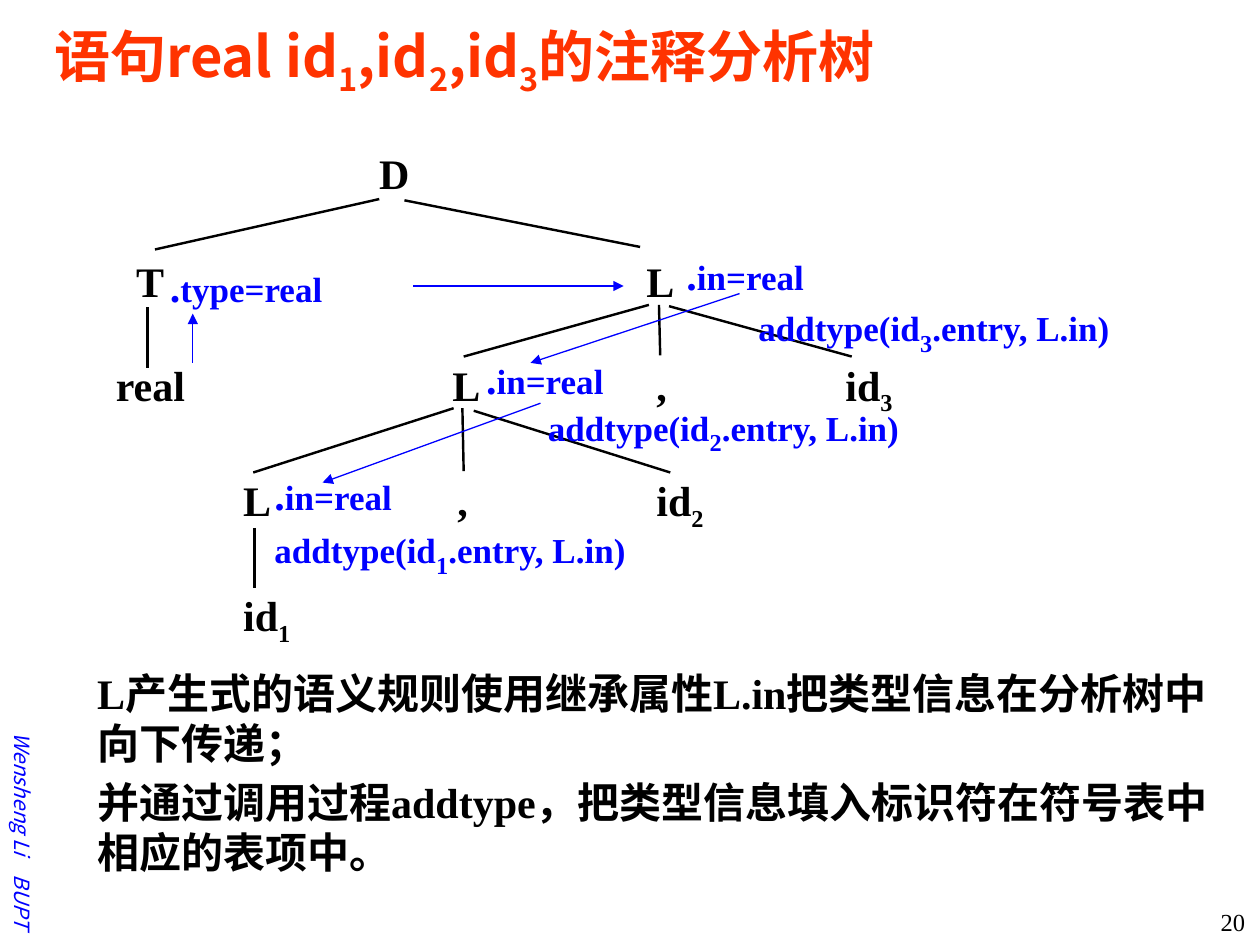
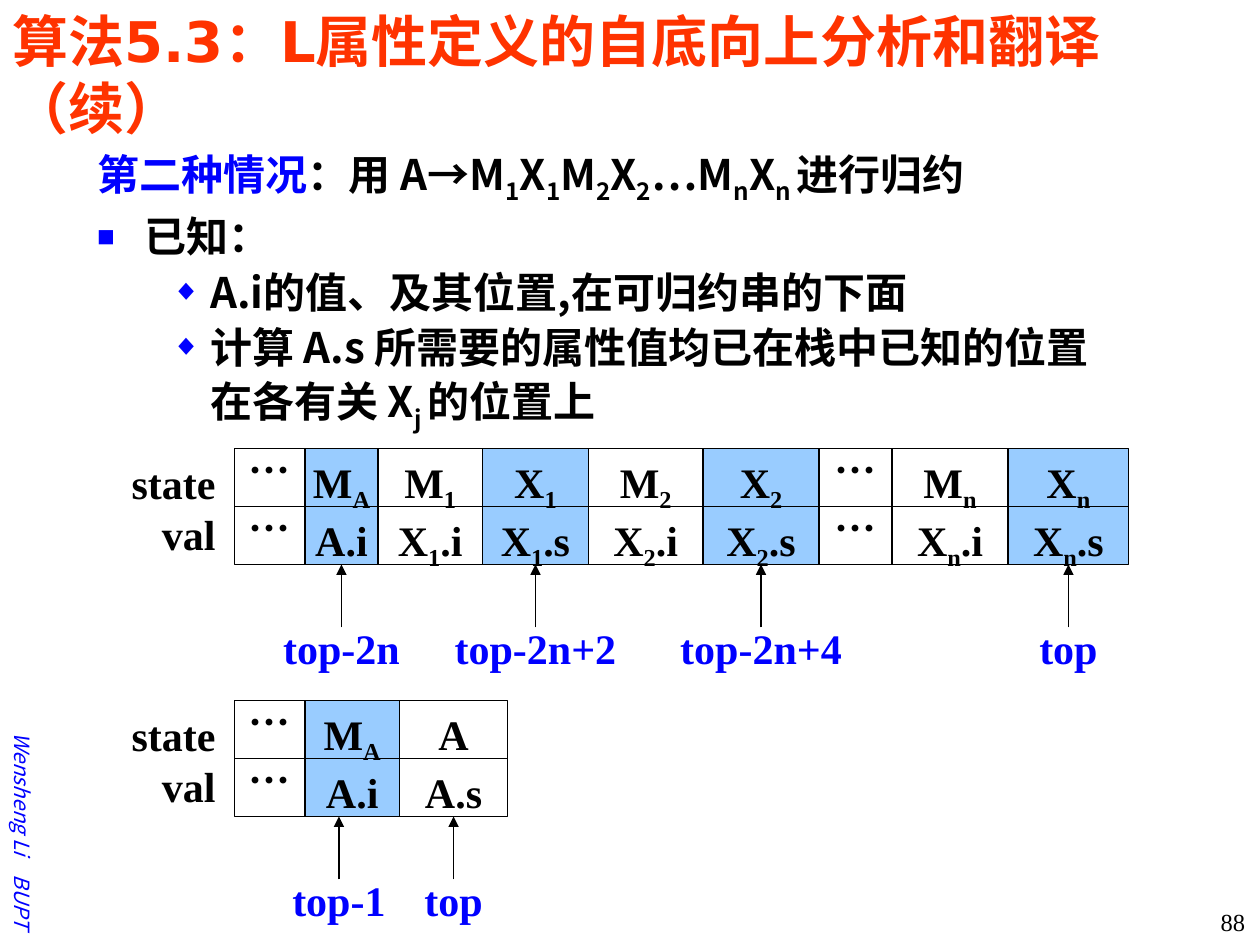
from lxml import etree
from pptx import Presentation
from pptx.dml.color import RGBColor
from pptx.enum.shapes import MSO_CONNECTOR, MSO_SHAPE
from pptx.enum.text import MSO_ANCHOR, MSO_AUTO_SIZE, PP_ALIGN
from pptx.oxml.ns import qn
from pptx.util import Emu, Pt

STRAIGHT = MSO_CONNECTOR.STRAIGHT
RECTANGLE = MSO_SHAPE.RECTANGLE
TOP, MIDDLE = MSO_ANCHOR.TOP, MSO_ANCHOR.MIDDLE
NO_FIT = MSO_AUTO_SIZE.NONE
LEFT, CENTER, RIGHT = PP_ALIGN.LEFT, PP_ALIGN.CENTER, PP_ALIGN.RIGHT

EMU_PER_PX = 9144
BLACK, BLUE, RED, LIGHT_BLUE = "000000", "0000FF", "FF3300", "99CCFF"
SERIF, SANS, TITLE_SANS = "Times New Roman", "Noto Sans CJK SC", "DejaVu Sans"
ROW_HEIGHT = 46
STACK_HEIGHT = 2 * ROW_HEIGHT


def px(length):
    """Turn px, a hundredth of an inch each, into EMU."""
    return Emu(round(length * EMU_PER_PX))


def rgb(value):
    """Turn a hex string into a colour."""
    return RGBColor.from_string(value)


def write(paragraph, text, size=24, color=BLACK, font=SERIF, bold=True,
          italic=False, subscript_size=None):
    """Add text to a paragraph, with subscripts marked by braces."""
    for index, piece in enumerate(text.replace("}", "{").split("{")):
        if not piece:
            continue
        run = paragraph.add_run()
        run.text = piece
        is_subscript = index % 2 == 1
        run.font.size = Pt(subscript_size if is_subscript and subscript_size else size)
        run.font.bold, run.font.italic = bold, italic
        run.font.name = font
        run.font.color.rgb = rgb(color)
        properties = run._r.get_or_add_rPr()
        etree.SubElement(properties, qn("a:ea"), typeface=SANS)
        if is_subscript:
            properties.set("baseline", "-25000")


def arrange(paragraph, align=LEFT, spacing=None, before=0, margin=0, indent=0, bullet=None):
    """Set the bullet, indents and spacing of a paragraph."""
    properties = paragraph._p.get_or_add_pPr()
    properties.set("marL", str(px(margin)))
    properties.set("indent", str(px(indent)))
    if bullet:
        color = etree.SubElement(properties, qn("a:buClr"))
        etree.SubElement(color, qn("a:srgbClr"), val=BLUE)
        etree.SubElement(properties, qn("a:buSzPct"), val="70000")
        etree.SubElement(properties, qn("a:buChar"), char=bullet)
    else:
        etree.SubElement(properties, qn("a:buNone"))
    paragraph.alignment = align
    paragraph.space_before = Pt(before)
    if spacing:
        paragraph.line_spacing = Pt(spacing)


def prepare(shape, anchor=TOP, inset=None):
    """Make a shape's text wrap at a fixed size and return its text frame."""
    frame = shape.text_frame
    frame.word_wrap = True
    frame.auto_size = NO_FIT
    frame.vertical_anchor = anchor
    if inset is not None:
        frame.margin_left = frame.margin_right = px(inset)
        frame.margin_top = frame.margin_bottom = 0
    return frame


def add_text(slide, box, text, align=LEFT, anchor=TOP, inset=None, **text_format):
    """Add a one-paragraph text box."""
    shape = slide.shapes.add_textbox(*map(px, box))
    paragraph = prepare(shape, anchor, inset).paragraphs[0]
    arrange(paragraph, align)
    write(paragraph, text, **text_format)
    return shape


def add_line(slide, start, end, color=BLACK, width=0.75, arrow=False):
    """Add a straight line or arrow."""
    line = slide.shapes.add_connector(STRAIGHT, *map(px, (*start, *end)))
    line.line.color.rgb = rgb(color)
    line.line.width = Pt(width)
    properties = line.element.spPr
    if arrow:
        etree.SubElement(properties.find(qn("a:ln")), qn("a:tailEnd"), type="triangle")
    etree.SubElement(properties, qn("a:effectLst"))
    return line


def add_rectangle(slide, box, fill=None, outline=None):
    """Add a rectangle with an optional fill and outline."""
    shape = slide.shapes.add_shape(RECTANGLE, *map(px, box))
    shape.shadow.inherit = False
    if fill:
        shape.fill.solid()
        shape.fill.fore_color.rgb = rgb(fill)
    else:
        shape.fill.background()
    if outline:
        shape.line.color.rgb = rgb(outline)
        shape.line.width = Pt(0.75)
    else:
        shape.line.fill.background()
    return shape


def place(placeholder, box, anchor=TOP):
    """Move a placeholder and return its text frame."""
    placeholder.left, placeholder.top, placeholder.width, placeholder.height = map(px, box)
    return prepare(placeholder, anchor)


def start_slide(presentation, title, title_box, title_font, title_spacing, number):
    """Add a slide with its title and page number."""
    slide = presentation.slides.add_slide(presentation.slide_layouts[1])
    paragraph = place(slide.shapes.title, title_box, MIDDLE).paragraphs[0]
    arrange(paragraph, spacing=title_spacing)
    write(paragraph, title, size=32, color=RED, font=title_font)
    add_text(slide, (904, 715, 94, 30), number, RIGHT, size=14, bold=False)
    return slide


def add_author_band(slide):
    """Put the upright author line on the layout shared by all slides."""
    for text, top in (("Wensheng Li", 542), ("BUPT", 600)):
        band = add_text(slide, (-114, top, 264, 30), text, RIGHT, MIDDLE, size=12,
                        color=BLUE, font=SANS, bold=False, italic=True)
        band.rotation = 90
        slide.slide_layout.shapes.element.append(band.element)


def add_parse_tree(slide, left, top):
    """Draw the nodes and branches of the parse tree."""
    nodes = (("D", 209, 0), ("T", 16, 86), ("L", 421, 86), ("real", 0, 168),
             ("L", 267, 168), (",", 429, 168), ("id{3}", 579, 168),
             ("L", 101, 260), (",", 271, 260), ("id{2}", 429, 260), ("id{1}", 101, 351))
    branches = ((229, 42, 416, 79), (209, 41, 31, 81), (25, 127, 25, 175),
                (423, 125, 276, 166), (431, 125, 432, 165), (439, 126, 584, 166),
                (268, 207, 109, 258), (275, 207, 276, 257), (284, 209, 440, 258),
                (110, 302, 110, 350))
    for text, x, y in nodes:
        add_text(slide, (left + x, top + y, 60, 40), text, inset=0)
    for x1, y1, x2, y2 in branches:
        add_line(slide, (left + x1, top + y1), (left + x2, top + y2), width=1.38)


def add_attributes(slide, left, top):
    """Draw the attribute values, procedure calls and flow arrows of the tree."""
    values = (("type=real", 33, 85), ("in=real", 443, 75),
              ("in=real", 284, 158), ("in=real", 116, 250))
    calls = ((3, 500, 116), (2, 333, 195), (1, 116, 292))
    flows = ((61, 171, 61, 132), (236, 110, 403, 110),
             (495, 116, 329, 171), (337, 203, 164, 266))
    for text, x, y in values:
        shape = add_text(slide, (left + x, top + y, 150, 50), ".", color=BLUE)
        write(shape.text_frame.paragraphs[0], text, size=20, color=BLUE)
    for number, x, y in calls:
        add_text(slide, (left + x, top + y, 309, 44), f"addtype(id{{{number}}}.entry, L.in)",
                 size=20, color=BLUE, subscript_size=24)
    for x1, y1, x2, y2 in flows:
        add_line(slide, (left + x1, top + y1), (left + x2, top + y2), BLUE, arrow=True)


def add_stack(slide, left, top, edges, rows, filled, pointers):
    """Draw a stack of state and val rows with pointers below its cells."""
    bottom = top + STACK_HEIGHT
    cells = list(zip(edges, edges[1:]))
    shaded = {}
    for index in filled:
        start, end = cells[index]
        shaded[(start + end) / 2] = add_rectangle(
            slide, (left + start, top, end - start, STACK_HEIGHT), LIGHT_BLUE)

    names = slide.shapes.add_textbox(*map(px, (left - 102, top + 2, 97, 90)))
    names_frame = prepare(names, MIDDLE)
    for index, name in enumerate(("state", "val")):
        paragraph = names_frame.add_paragraph() if index else names_frame.paragraphs[0]
        arrange(paragraph, RIGHT, spacing=29)
        write(paragraph, name)

    outline = add_rectangle(slide, (left, top, edges[-1], STACK_HEIGHT), outline=BLACK)
    middle = top + ROW_HEIGHT
    divider = add_line(slide, (left, middle), (left + edges[-1], middle))
    divider.begin_connect(outline, 1)
    divider.end_connect(outline, 3)
    for edge in edges[1:-1]:
        add_line(slide, (left + edge, top), (left + edge, bottom))

    for row_index, row in enumerate(rows):
        for (start, end), text in zip(cells, row.split()):
            font, offset = (SANS, -3) if text == "…" else (SERIF, 6)
            add_text(slide, (left + start, top + row_index * ROW_HEIGHT + offset,
                             end - start, 40), text, CENTER, inset=0, font=font)

    for offset, label in pointers:
        x = left + offset
        add_text(slide, (x - 80, bottom + 41, 160, 50), label, CENTER, MIDDLE, color=BLUE)
        arrow = add_line(slide, (x, bottom + 50), (x, bottom), arrow=True)
        if offset in shaded:
            arrow.end_connect(shaded[offset], 2)


def build_tree_slide(presentation):
    """Build the slide with the annotated parse tree."""
    slide = start_slide(presentation, "语句real id{1},id{2},id{3}的注释分析树",
                        (33, 17, 942, 61), SANS, 44, "20")
    add_author_band(slide)
    frame = place(slide.placeholders[1], (67, 525, 912, 208))
    notes = ("L产生式的语义规则使用继承属性L.in把类型信息在分析树中向下传递；",
             "并通过调用过程addtype，把类型信息填入标识符在符号表中相应的表项中。")
    for index, text in enumerate(notes):
        paragraph = frame.add_paragraph() if index else frame.paragraphs[0]
        arrange(paragraph, spacing=28.6, before=5 if index else 0)
        write(paragraph, text)
    add_parse_tree(slide, 92, 117)
    add_attributes(slide, 92, 117)


def build_stack_slide(presentation):
    """Build the slide with the stack before and after reduction."""
    slide = start_slide(presentation, "算法5.3：L属性定义的自底向上分析和翻译（续）",
                        (0, 17, 1000, 83), TITLE_SANS, 38, "88")
    frame = place(slide.placeholders[1], (67, 108, 912, 237))
    heading = frame.paragraphs[0]
    arrange(heading, spacing=36)
    write(heading, "第二种情况", color=BLUE, font=SANS)
    write(heading, "：用 A→M{1}X{1}M{2}X{2}…M{n}X{n }进行归约", font=SANS)
    items = (("已知：", 0, 38, -38, "■", 32),
             ("A.i的值、及其位置,在可归约串的下面", 1, 90, -31, "◆", 31.5),
             ("计算 A.s 所需要的属性值均已在栈中已知的位置", 1, 90, -31, "◆", 31.5),
             ("在各有关 X{j }的位置上", 1, 90, 0, None, 35))
    for text, level, margin, indent, bullet, spacing in items:
        paragraph = frame.add_paragraph()
        paragraph.level = level
        arrange(paragraph, spacing=spacing, margin=margin, indent=indent, bullet=bullet)
        write(paragraph, text, font=SANS)
    add_stack(slide, 186, 356, (0, 56, 114, 197, 281, 372, 464, 522, 614, 710),
              ("… M{A} M{1} X{1} M{2} X{2} … M{n} X{n}",
               "… A.i X{1}.i X{1}.s X{2}.i X{2}.s … X{n}.i X{n}.s"),
              (1, 3, 5, 8),
              ((85, "top-2n"), (239, "top-2n+2"), (418, "top-2n+4"), (662, "top")))
    add_stack(slide, 186, 556, (0, 56, 131, 217), ("… M{A} A", "… A.i A.s"),
              (1,), ((83, "top-1"), (174, "top")))


def main():
    """Build and save the presentation."""
    presentation = Presentation()
    presentation.slide_width, presentation.slide_height = px(1000), px(750)
    build_tree_slide(presentation)
    build_stack_slide(presentation)
    presentation.save("out.pptx")


if __name__ == "__main__":
    main()
